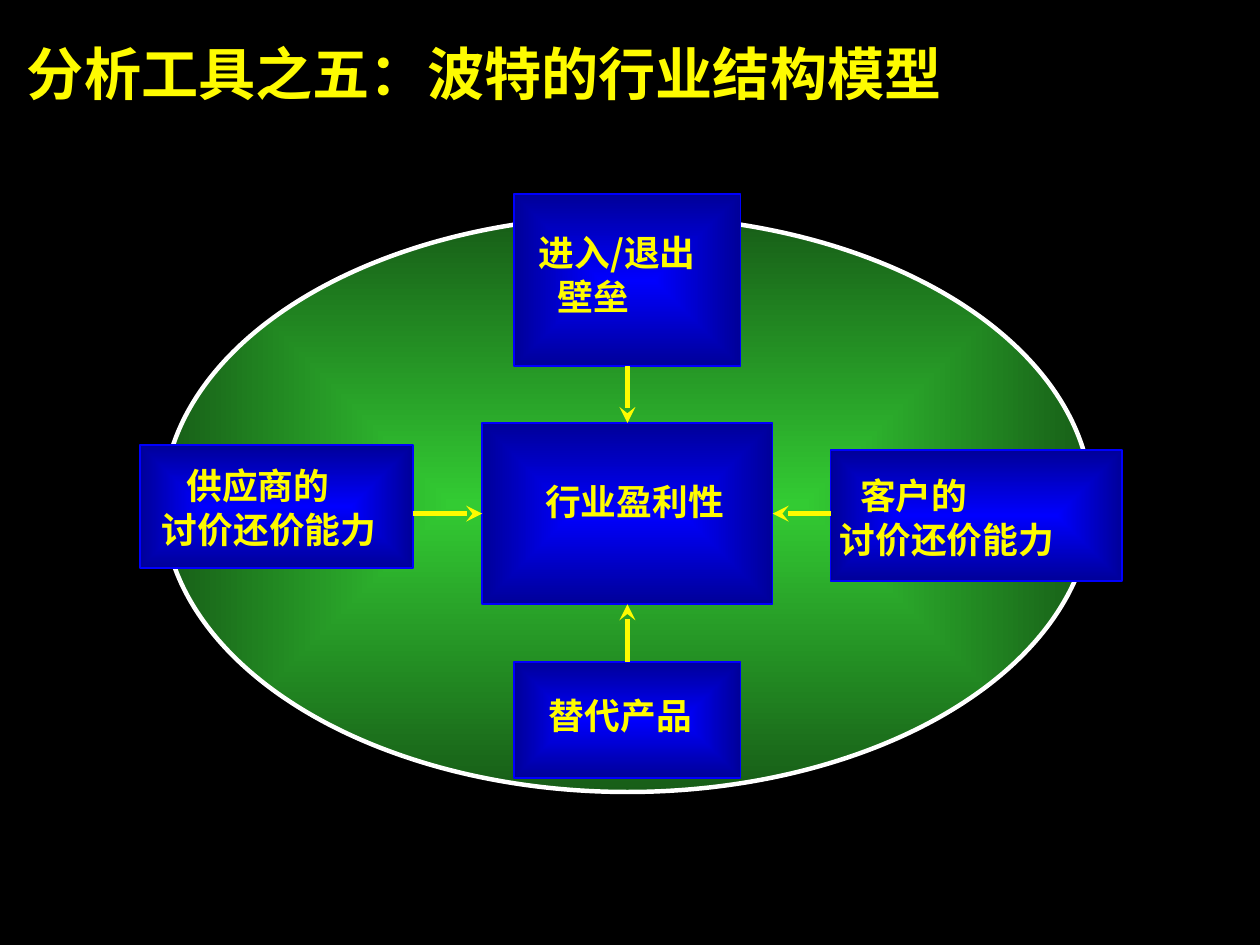
"""Build a slide showing the five forces of an industry structure model."""
from dataclasses import dataclass
from typing import Optional

from lxml.etree import SubElement
from pptx import Presentation
from pptx.dml.color import RGBColor
from pptx.enum.shapes import MSO_CONNECTOR, MSO_SHAPE
from pptx.enum.text import MSO_ANCHOR, PP_ALIGN
from pptx.oxml.ns import qn
from pptx.shapes.autoshape import Shape
from pptx.slide import Slide
from pptx.util import Inches, Length, Pt

COLORS = {
    "background": "000000",
    "text": "FEFB00",
    "outline": "FFFFFF",
    "green": "33CB33",
    "dark green": "175D17",
    "blue": "0000FE",
    "dark blue": "000099",
}
FONT = "Noto Sans CJK SC"
SLIDE_WIDTH = Inches(9.8)
SLIDE_HEIGHT = Inches(7.35)
COLUMNS = 98
CENTER_ROW = 39.95
TOP, LEFT, BOTTOM, RIGHT = range(4)


@dataclass(frozen=True)
class Area:
    """A rectangle in grid columns and rows."""
    column: float
    row: float
    width: float
    height: float


@dataclass(frozen=True)
class Line:
    """A line of a label and its indent in columns."""
    text: str
    indent: float = 0


@dataclass(frozen=True)
class Force:
    """A box, its label and the side of the center that its arrow reaches."""
    box: Area
    label: Area
    lines: tuple[Line, ...]
    target_side: Optional[int] = None


CENTER = Force(Area(37.5, 32.9, 22.6, 14.1), Area(42.4, 37.3, 17, 4), (Line("行业盈利性"),))
FORCES = (
    Force(Area(10.9, 34.6, 21.2, 9.6), Area(12.6, 37.5, 19, 6),
          (Line("供应商的", 1.9), Line("讨价还价能力")), LEFT),
    Force(Area(64.6, 35, 22.7, 10.2), Area(65.3, 38.3, 19, 6),
          (Line("客户的", 1.6), Line("讨价还价能力")), RIGHT),
    Force(Area(40, 15.1, 17.6, 13.4), Area(41.9, 19.4, 15, 6),
          (Line("进入/退出"), Line("壁垒", 1.5)), TOP),
    Force(Area(40, 51.5, 17.6, 9), Area(42.7, 54, 14, 4),
          (Line("替代产品"),), BOTTOM),
)


def grid(count: float) -> Length:
    """Turn a number of grid cells into a length."""
    return Length(round(SLIDE_WIDTH * count / COLUMNS))


def place(area: Area) -> tuple[Length, ...]:
    """Give left, top, width and height of an area."""
    return tuple(grid(count) for count in (area.column, area.row, area.width, area.height))


def color(name: str) -> RGBColor:
    """Look up a color by name."""
    return RGBColor.from_string(COLORS[name])


def add_glowing_shape(slide: Slide, kind: MSO_SHAPE, area: Area, inner: str,
                      outer: str, line: str, line_width: float) -> Shape:
    """Draw a shape whose gradient spreads from its center."""
    shape = slide.shapes.add_shape(kind, *place(area))
    shape.shadow.inherit = False
    shape.line.color.rgb = color(line)
    shape.line.width = Pt(line_width)
    shape.fill.gradient()
    for stop, name, position in zip(shape.fill.gradient_stops, (inner, outer), (0, 1)):
        stop.color.rgb = color(name)
        stop.position = position
    gradient = shape._element.spPr.find(qn("a:gradFill"))
    gradient.remove(gradient.find(qn("a:lin")))
    path = SubElement(gradient, qn("a:path"), path="rect")
    SubElement(path, qn("a:fillToRect"), l="50000", t="50000", r="50000", b="50000")
    return shape


def format_font(paragraph, size: float) -> None:
    """Set the bold yellow font of a paragraph."""
    font = paragraph.font
    font.name = FONT
    font.size = Pt(size)
    font.bold = True
    font.color.rgb = color("text")
    properties = paragraph._p.pPr.find(qn("a:defRPr"))
    SubElement(properties, qn("a:ea"), typeface=FONT)


def add_text_shadow(paragraph) -> None:
    """Give the letters of a paragraph a small black shadow."""
    properties = paragraph._p.pPr.find(qn("a:defRPr"))
    effects = SubElement(properties, qn("a:effectLst"))
    properties.find(qn("a:solidFill")).addnext(effects)
    shadow = SubElement(effects, qn("a:outerShdw"), dist="25400", dir="2700000")
    SubElement(shadow, qn("a:srgbClr"), val=COLORS["background"])


def add_label(slide: Slide, force: Force) -> None:
    """Write the label of a force."""
    frame = slide.shapes.add_textbox(*place(force.label)).text_frame
    frame.word_wrap = True
    frame.margin_left = frame.margin_right = frame.margin_top = frame.margin_bottom = 0
    for index, line in enumerate(force.lines):
        paragraph = frame.paragraphs[0] if index == 0 else frame.add_paragraph()
        paragraph.text = line.text
        paragraph._p.get_or_add_pPr().set("marL", str(grid(line.indent)))
        if len(force.lines) > 1:
            paragraph.line_spacing = 0.5
            paragraph.space_after = Pt(12.5)
        format_font(paragraph, 20)
        add_text_shadow(paragraph)


def add_box(slide: Slide, force: Force) -> Shape:
    """Draw the blue box of a force with its label."""
    box = add_glowing_shape(slide, MSO_SHAPE.RECTANGLE, force.box,
                            "blue", "dark blue", "blue", 1)
    add_label(slide, force)
    return box


def add_arrow(slide: Slide, force: Force, box: Shape, center: Shape) -> None:
    """Draw the arrow from a force to the center."""
    start = force.box.column + (force.box.width if force.target_side == LEFT else 0)
    row = grid(CENTER_ROW)
    arrow = slide.shapes.add_connector(MSO_CONNECTOR.STRAIGHT, grid(start), row, center.left, row)
    if force.target_side in (TOP, BOTTOM):
        arrow.begin_connect(box, BOTTOM if force.target_side == TOP else TOP)
    arrow.end_connect(center, force.target_side)
    arrow.line.color.rgb = color("text")
    arrow.line.width = Pt(3)
    SubElement(arrow.line._get_or_add_ln(), qn("a:tailEnd"), type="stealth")
    SubElement(arrow._element.spPr, qn("a:effectLst"))


def add_title(slide: Slide, text: str) -> None:
    """Place and format the title."""
    title = slide.shapes.title
    title.left, title.top, title.width, title.height = place(Area(1.1, 2.5, 95.1, 5.3))
    frame = title.text_frame
    frame.text = text
    frame.vertical_anchor = MSO_ANCHOR.TOP
    frame.paragraphs[0].alignment = PP_ALIGN.LEFT
    format_font(frame.paragraphs[0], 32)


def main() -> None:
    """Build and save the presentation."""
    presentation = Presentation()
    presentation.slide_width = SLIDE_WIDTH
    presentation.slide_height = SLIDE_HEIGHT
    slide = presentation.slides.add_slide(presentation.slide_layouts[5])
    slide.background.fill.solid()
    slide.background.fill.fore_color.rgb = color("background")
    add_title(slide, "分析工具之五：波特的行业结构模型")
    add_glowing_shape(slide, MSO_SHAPE.OVAL, Area(12.7, 16.8, 72.2, 44.8),
                      "green", "dark green", "outline", 2.5)
    center = add_box(slide, CENTER)
    for force in FORCES:
        add_arrow(slide, force, add_box(slide, force), center)
    presentation.save("out.pptx")


if __name__ == "__main__":
    main()
